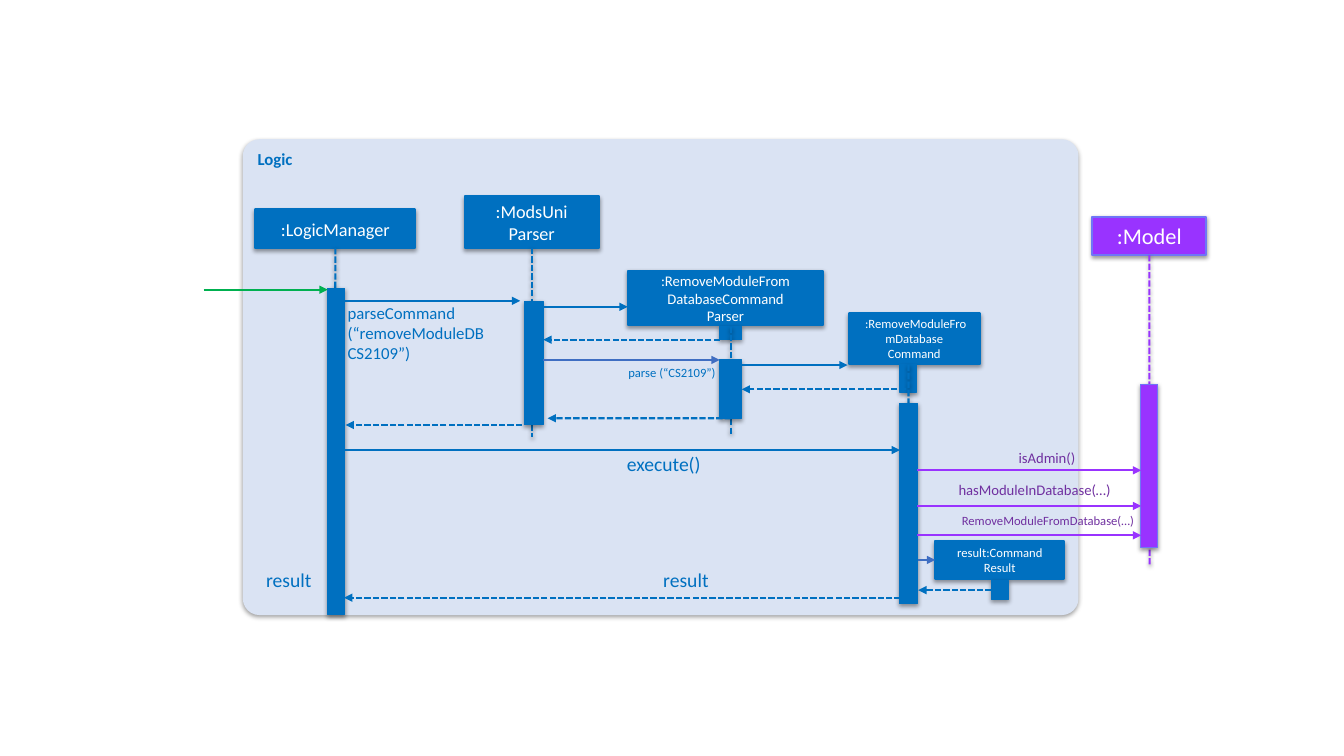
from lxml.etree import SubElement
from pptx import Presentation
from pptx.dml.color import RGBColor
from pptx.enum.dml import MSO_LINE
from pptx.enum.shapes import MSO_CONNECTOR, MSO_SHAPE
from pptx.enum.text import MSO_ANCHOR, PP_ALIGN
from pptx.oxml.ns import qn
from pptx.util import Cm, Pt

BLUE, PURPLE, PLUM, GREEN = "0070C0", "9933FF", "7030A0", "00B050"
ROYAL, RIM, PALE, WHITE = "3F6EC2", "6F75F7", "DAE3F3", "FFFFFF"
TOP, LEFT, BOTTOM = 0, 1, 2


def color(code):
    return RGBColor.from_string(code)


class Sketch:
    font = "Calibri"
    weight = 1.5

    def __init__(self, slide):
        self.shapes = slide.shapes

    def effect(self, item, shade=True):
        group = SubElement(item._element.spPr, qn("a:effectLst"))
        if shade:
            outer = SubElement(group, qn("a:outerShdw"), blurRad=str(Pt(3.1)),
                               dist=str(Pt(1.6)), dir="5400000", rotWithShape="0")
            black = SubElement(outer, qn("a:srgbClr"), val="000000")
            SubElement(black, qn("a:alpha"), val="38000")

    def letter(self, frame, text, size, ink, align, bold=False):
        frame.word_wrap = True
        frame.text = text
        for para in frame.paragraphs:
            para.alignment = align
            para.font.name = self.font
            para.font.size = Pt(size)
            para.font.bold = bold
            para.font.color.rgb = color(ink)

    def block(self, area, fill, rim=None, width=weight, kind=MSO_SHAPE.RECTANGLE):
        item = self.shapes.add_shape(kind, *map(Cm, area))
        item.fill.solid()
        item.fill.fore_color.rgb = color(fill)
        if rim:
            item.line.color.rgb = color(rim)
            item.line.width = Pt(width)
        else:
            item.line.fill.background()
        self.effect(item)
        return item

    def panel(self, area, text):
        item = self.block(area, PALE, kind=MSO_SHAPE.ROUNDED_RECTANGLE)
        item.adjustments[0] = 0.035
        item.text_frame.vertical_anchor = MSO_ANCHOR.TOP
        self.letter(item.text_frame, text, 12, BLUE, PP_ALIGN.LEFT, True)

    def head(self, area, text, size, fill=BLUE, rim=BLUE):
        item = self.block(area, fill, rim)
        item.text_frame.vertical_anchor = MSO_ANCHOR.MIDDLE
        self.letter(item.text_frame, text, size, WHITE, PP_ALIGN.CENTER)
        return item

    def bar(self, area, fill=BLUE, rim=BLUE):
        return self.block(area, fill, rim, 0.75)

    def line(self, start, end, ink, dashed):
        item = self.shapes.add_connector(MSO_CONNECTOR.STRAIGHT, *map(Cm, start + end))
        item.line.color.rgb = color(ink)
        item.line.width = Pt(self.weight)
        if dashed:
            item.line.dash_style = MSO_LINE.SQUARE_DOT
        return item

    def life(self, owner, side, x, top, end, ink=BLUE):
        item = self.line((x, top), (x, end), ink, True)
        item.begin_connect(owner, side)
        self.effect(item)

    def arrow(self, x, y, end, ink=BLUE, dashed=False):
        item = self.line((x, y), (end, y), ink, dashed)
        SubElement(item.line._get_or_add_ln(), qn("a:tailEnd"), type="triangle")
        self.effect(item, False)
        return item

    def label(self, area, text, size, ink=BLUE, align=PP_ALIGN.RIGHT):
        frame = self.shapes.add_textbox(*map(Cm, area)).text_frame
        frame.margin_left = frame.margin_right = 0
        frame.margin_top = frame.margin_bottom = 0
        self.letter(frame, text, size, ink, align)


def main():
    deck = Presentation()
    deck.slide_width, deck.slide_height = Cm(33.87), Cm(19.05)
    draw = Sketch(deck.slides.add_slide(deck.slide_layouts[6]))

    draw.panel((6.12, 3.51, 21.06, 11.99), "Logic")
    logic = draw.head((6.43, 5.28, 4.04, 0.97), ":LogicManager", 13)
    mods = draw.head((11.71, 4.95, 3.38, 1.3), ":ModsUni\vParser", 13)
    draw.head((15.82, 6.83, 4.93, 1.37),
              ":RemoveModuleFrom\nDatabaseCommand\nParser", 10.5)
    draw.head((21.39, 7.9, 3.3, 1.27), " :RemoveModuleFromDatabase\nCommand", 9)
    model = draw.head((27.53, 5.46, 2.87, 0.97), ":Model", 16, PURPLE, RIM)
    result = draw.head((23.57, 13.64, 3.25, 0.94), "result:Command Result", 9)

    draw.life(logic, BOTTOM, 8.45, 6.25, 13.51)
    draw.life(mods, BOTTOM, 13.4, 6.25, 11.02)
    draw.life(model, BOTTOM, 28.97, 6.43, 14.27, PURPLE)
    parser = draw.bar((18.14, 8.23, 0.56, 0.33))
    draw.life(parser, TOP, 18.42, 8.23, 10.97)
    command = draw.bar((22.68, 9.19, 0.43, 0.69))
    draw.life(command, TOP, 22.9, 9.19, 14.55)

    draw.bar((8.26, 7.26, 0.43, 8.23))
    draw.bar((13.21, 7.59, 0.48, 3.12))
    parse = draw.bar((18.14, 9.07, 0.56, 1.47))
    draw.bar((22.66, 10.16, 0.46, 5.05))
    draw.bar((28.75, 9.68, 0.43, 4.11), PURPLE, RIM)
    close = draw.bar((24.99, 14.63, 0.43, 0.48))

    draw.arrow(5.13, 7.3, 8.26, GREEN)
    for x, y, end in ((8.67, 7.58, 13.11), (13.56, 7.73, 15.82),
                      (18.54, 9.2, 21.36), (8.67, 11.34, 22.68)):
        draw.arrow(x, y, end)
    for y in (11.85, 12.75, 13.49):
        draw.arrow(23.12, y, 28.76, PURPLE)
    draw.arrow(13.69, 9.07, 18.14, ROYAL)
    draw.arrow(23.13, 14.11, 23.57, ROYAL).end_connect(result, LEFT)
    for x, y, end in ((18.14, 8.56, 13.69), (22.83, 9.81, 18.69),
                      (13.16, 10.71, 8.71), (22.7, 15.06, 8.67)):
        draw.arrow(x, y, end, dashed=True)
    draw.arrow(18.42, 10.54, 13.8, dashed=True).begin_connect(parse, BOTTOM)
    draw.arrow(24.99, 14.87, 23.14, dashed=True).begin_connect(close, LEFT)

    draw.label((8.76, 7.62, 4.19, 2.03),
               "parseCommand\n(“removeModuleDB\vCS2109”)", 12, align=PP_ALIGN.LEFT)
    draw.label((13.41, 9.19, 4.62, 0.38), "parse (“CS2109”)", 9)
    draw.label((15.27, 11.38, 2.39, 0.58), "execute()", 14)
    for x, width in ((5.74, 2.11), (16.13, 1.73)):
        draw.label((x, 14.3, width, 0.58), "result", 14)
    draw.label((22.3, 11.3, 4.8, 0.43), "isAdmin()", 10.5, PLUM)
    draw.label((23.19, 12.12, 4.8, 0.43), "hasModuleInDatabase(…)", 10.5, PLUM)
    draw.label((22.91, 12.93, 5.66, 0.38), "RemoveModuleFromDatabase(…)", 9, PLUM)

    deck.save("out.pptx")


if __name__ == "__main__":
    main()
